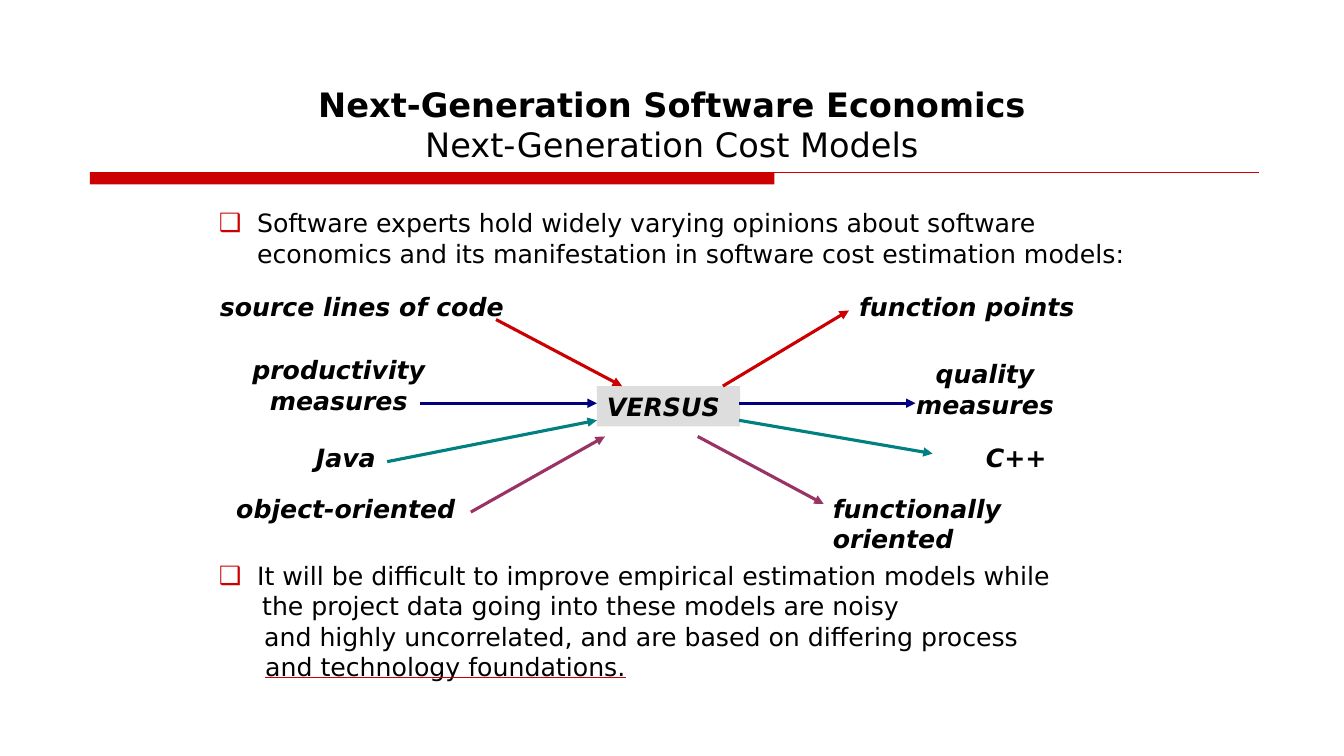
from lxml.etree import SubElement
from pptx import Presentation
from pptx.dml.color import RGBColor
from pptx.enum.shapes import MSO_CONNECTOR, MSO_SHAPE
from pptx.enum.text import MSO_ANCHOR, MSO_AUTO_SIZE, PP_ALIGN
from pptx.oxml.ns import qn
from pptx.util import Emu, Pt

PX = 9144  # EMU per px, 100 px to the inch
FONT = "DejaVu Sans"
BLACK = RGBColor(0x00, 0x00, 0x00)
RED = RGBColor(0xCC, 0x00, 0x00)
NAVY = RGBColor(0x00, 0x00, 0x80)
TEAL = RGBColor(0x00, 0x80, 0x80)
PLUM = RGBColor(0x99, 0x33, 0x66)
GREY = RGBColor(0xDD, 0xDD, 0xDD)
LEFT, CENTER = PP_ALIGN.LEFT, PP_ALIGN.CENTER

# Content: boxes are left, top, width, height
TITLE = ["Next-Generation Software Economics", "Next-Generation Cost Models"]
TITLE_BOX = (100, 83, 1133, 80)
OPINIONS = ["Software experts hold widely varying opinions about software "
            "economics and its manifestation in software cost estimation models:"]
OPINIONS_BOX = (217, 206, 910, 60)
DATA_PROBLEM = ["It will be difficult to improve empirical estimation models while",
                "the project data going into these models are noisy",
                "and highly uncorrelated, and are based on differing process",
                "and technology foundations."]
DATA_PROBLEM_BOX = (217, 556, 910, 121)
DATA_PROBLEM_MARGINS = [38, 43, 45, 46]
VERSUS, VERSUS_BOX = "VERSUS", (592, 383, 142, 40)
RULE_BAR = (89, 171, 679, 12)
RULE_LINE = (89, 171, 1249, 171)
LABELS = [  # text, box, alignment
    ("source lines of code", (218, 289, 295, 30), LEFT),
    ("productivity measures", (246, 352, 180, 60), CENTER),
    ("Java", (233, 439, 220, 30), CENTER),
    ("object-oriented", (233, 489, 220, 30), CENTER),
    ("function points", (852, 289, 230, 30), LEFT),
    ("quality measures", (902, 356, 150, 60), CENTER),
    ("C++", (958, 439, 100, 30), CENTER),
    ("functionally oriented", (826, 489, 200, 60), LEFT),
]
ARROWS = [  # from x, y, to x, y, colour
    (492, 317, 617, 383, RED), (717, 383, 842, 308, RED),
    (417, 400, 592, 400, NAVY), (733, 400, 908, 400, NAVY),
    (384, 458, 592, 417, TEAL), (733, 417, 925, 450, TEAL),
    (467, 508, 600, 433, PLUM), (692, 433, 817, 500, PLUM),
]


def px(values):
    return [Emu(value * PX) for value in values]


def place(shape, box):
    shape.left, shape.top, shape.width, shape.height = px(box)
    return shape


def write(shape, lines, size=18, bold=False, italic=False, align=LEFT,
          margins=None, bullet=False, bold_first=False, underline_last=False,
          anchor=MSO_ANCHOR.TOP, inset=0):
    """Fill a shape with one paragraph per line."""
    frame = shape.text_frame
    frame.word_wrap, frame.auto_size = True, MSO_AUTO_SIZE.NONE
    frame.vertical_anchor = anchor
    frame.margin_left = Emu(inset * PX)
    frame.margin_top = frame.margin_right = frame.margin_bottom = 0
    for i, line in enumerate(lines):
        paragraph = frame.paragraphs[0] if i == 0 else frame.add_paragraph()
        marked = bullet and i == 0
        margin = margins[i] if margins else 0
        properties = paragraph._p.get_or_add_pPr()
        properties.set("marL", str(margin * PX))
        properties.set("indent", str(-margin * PX if marked else 0))
        if marked:
            colour = SubElement(properties, qn("a:buClr"))
            SubElement(colour, qn("a:srgbClr"), val=str(RED))
            SubElement(properties, qn("a:buFont"), typeface=FONT)
            SubElement(properties, qn("a:buChar"), char="❑")
        else:
            SubElement(properties, qn("a:buNone"))
        paragraph.alignment = align
        paragraph.space_before = paragraph.space_after = Pt(0)
        run = paragraph.add_run()
        run.text = line
        if underline_last and i == len(lines) - 1:
            run.font.underline = True
            underline = SubElement(run._r.get_or_add_rPr(), qn("a:uFill"))
            fill = SubElement(underline, qn("a:solidFill"))
            SubElement(fill, qn("a:srgbClr"), val=str(RED))
        run.font.name, run.font.size = FONT, Pt(size)
        run.font.bold = bold or (bold_first and i == 0)
        run.font.italic = italic
        run.font.color.rgb = BLACK


def add_block(slide, box, colour):
    block = slide.shapes.add_shape(MSO_SHAPE.RECTANGLE, *px(box))
    block.shadow.inherit = False
    block.fill.solid()
    block.fill.fore_color.rgb = colour
    block.line.fill.background()
    return block


def add_line(slide, ends, colour, width, arrow=False):
    line = slide.shapes.add_connector(MSO_CONNECTOR.STRAIGHT, *px(ends))
    line.line.color.rgb, line.line.width = colour, Pt(width)
    if arrow:
        SubElement(line.line._get_or_add_ln(), qn("a:tailEnd"), type="triangle")
    SubElement(line._element.spPr, qn("a:effectLst"))


def main():
    deck = Presentation()
    deck.slide_width, deck.slide_height = px((1333, 750))
    slide = deck.slides.add_slide(deck.slide_layouts.get_by_name("Two Content"))
    title, opinions, data_problem = slide.placeholders

    # Title with its red rule
    write(place(title, TITLE_BOX), TITLE, size=24, align=CENTER, bold_first=True)
    add_block(slide, RULE_BAR, RED)
    add_line(slide, RULE_LINE, RED, 0.75)

    # Bulleted statements
    write(place(opinions, OPINIONS_BOX), OPINIONS, margins=[38], bullet=True)
    write(place(data_problem, DATA_PROBLEM_BOX), DATA_PROBLEM,
          margins=DATA_PROBLEM_MARGINS, bullet=True, underline_last=True)

    # Opposing opinions around the centre block
    for text, box, align in LABELS:
        label = slide.shapes.add_textbox(*px(box))
        write(label, [text], bold=True, italic=True, align=align)
    write(add_block(slide, VERSUS_BOX, GREY), [VERSUS], bold=True, italic=True,
          anchor=MSO_ANCHOR.MIDDLE, inset=10)
    for *ends, colour in ARROWS:
        add_line(slide, ends, colour, 2.25, arrow=True)

    deck.save("out.pptx")


if __name__ == "__main__":
    main()
